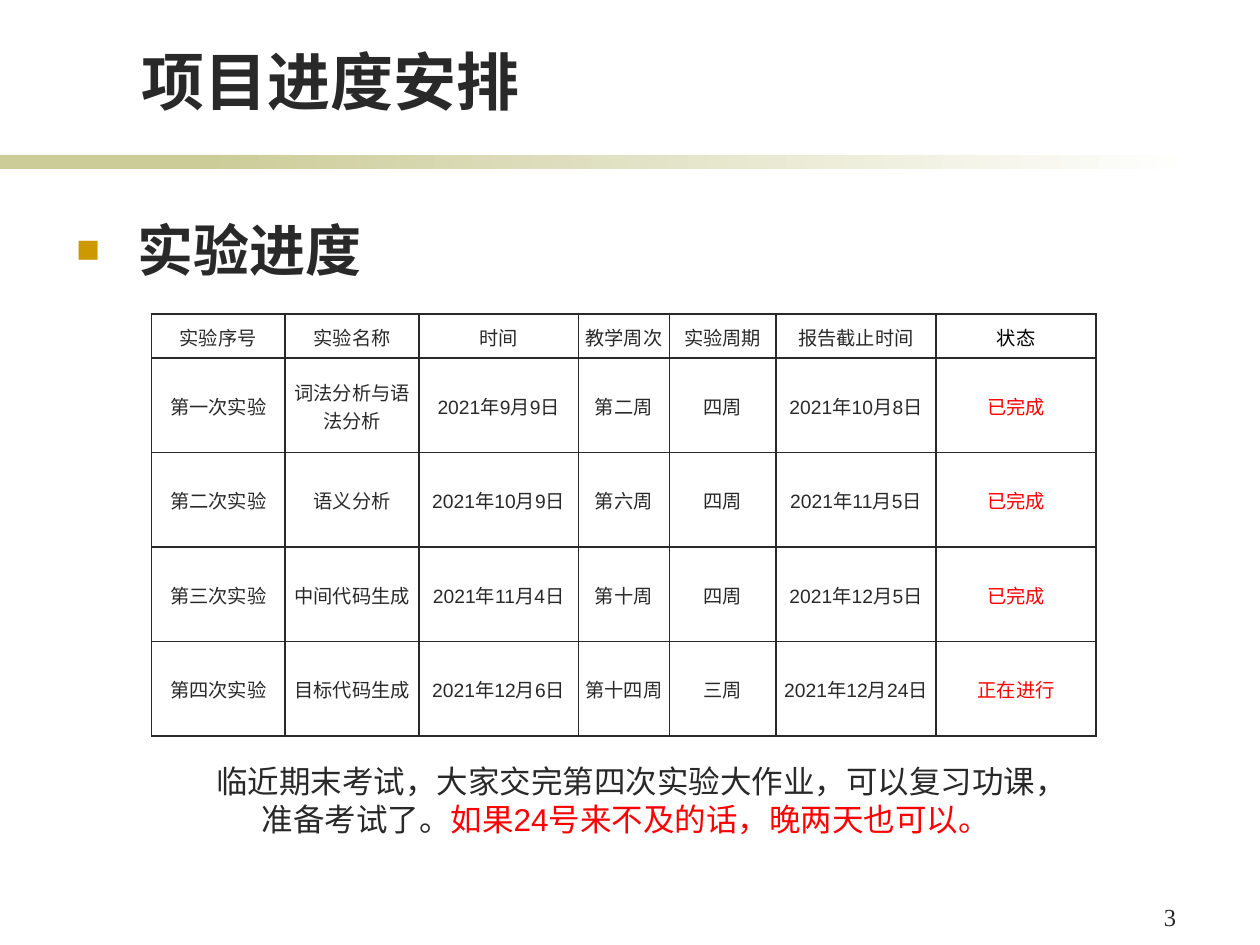
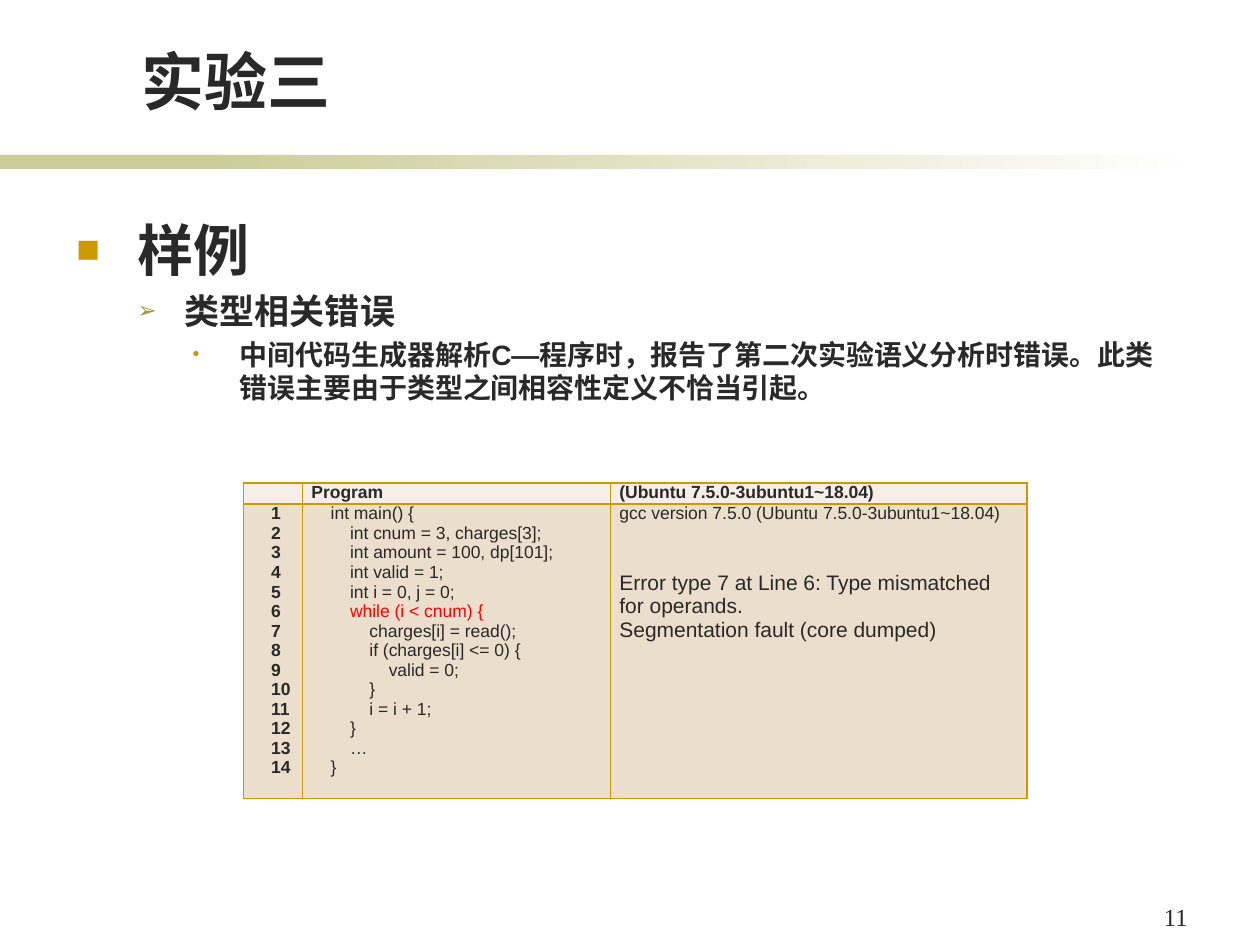
"""Build the lab schedule slide and the lab three sample slide."""
from dataclasses import dataclass

from lxml import etree
from pptx import Presentation
from pptx.dml.color import RGBColor as Color
from pptx.enum.shapes import MSO_SHAPE as Shape
from pptx.enum.text import MSO_ANCHOR as Anchor, PP_ALIGN as Align
from pptx.oxml import parse_xml
from pptx.oxml.ns import qn
from pptx.util import Pt


@dataclass(frozen=True)
class Theme:
    ink: str = "292929"
    black: str = "000000"
    red: str = "FF0000"
    white: str = "FFFFFF"
    band: str = "CCCC99"
    gold: str = "CC9900"
    olive: str = "999933"
    head_fill: str = "F6EFE7"
    body_fill: str = "ECDECC"
    latin: str = "Arial"
    cjk: str = "Noto Sans CJK SC"
    serif: str = "Times New Roman"
    title: int = 36
    levels: tuple = (32, 20, 16)
    note: int = 18
    number: int = 14
    output: int = 12
    schedule: int = 11
    code: int = 10


theme = Theme()
DRAWING = "http://schemas.openxmlformats.org/drawingml/2006/main"


def style(para, size, color=theme.ink, bold=False, font=theme.latin, align=None, leading=None):
    para.alignment = align
    if leading:
        para.line_spacing = Pt(leading)
    for span in para.runs:
        span.font.size = Pt(size)
        span.font.bold = bold
        span.font.name = font
        span.font.color.rgb = Color.from_string(color)
        etree.SubElement(span.font._element, qn("a:ea"), typeface=theme.cjk)


def add_grid(page, left, top, widths, heights, line, insets):
    frame = page.shapes.add_table(len(heights), len(widths), Pt(left), Pt(top),
                                  Pt(sum(widths)), Pt(sum(heights)))
    grid = frame.table
    grid.first_row = grid.horz_banding = False
    for column, width in zip(grid.columns, widths):
        column.width = Pt(width)
    for row, height in zip(grid.rows, heights):
        row.height = Pt(height)
    for cell in grid.iter_cells():
        cell.margin_left, cell.margin_top, cell.margin_right, cell.margin_bottom = map(Pt, insets)
        cell.fill.background()
        for index, side in enumerate(("lnL", "lnR", "lnT", "lnB")):
            cell._tc.tcPr.insert(index, parse_xml(
                f'<a:{side} xmlns:a="{DRAWING}" w="{Pt(1)}"><a:solidFill>'
                f'<a:srgbClr val="{line}"/></a:solidFill></a:{side}>'))
    return grid


deck = Presentation()
deck.slide_width, deck.slide_height = Pt(720), Pt(540)

pages = []
for title, number, bullets in (
    ("项目进度安排", "3", ["实验进度"]),
    ("实验三", "11", ["样例", "类型相关错误",
                   "中间代码生成器解析C—程序时，报告了第二次实验语义分析时错误。"
                   "此类错误主要由于类型之间相容性定义不恰当引起。"]),
):
    page = deck.slides.add_slide(deck.slide_layouts[6])
    pages.append(page)

    for left, width in ((0, 168), (114, 570)):
        band = page.shapes.add_shape(Shape.RECTANGLE, Pt(left), Pt(88.5), Pt(width), Pt(8))
        band.shadow.inherit = False
        band.line.fill.background()
        if left:
            band.fill.gradient()
            band.fill.gradient_angle = 0
            for stop, color in zip(band.fill.gradient_stops, (theme.band, theme.white)):
                stop.color.rgb = Color.from_string(color)
        else:
            band.fill.solid()
            band.fill.fore_color.rgb = Color.from_string(theme.band)

    number_box = page.shapes.add_textbox(Pt(658), Pt(512), Pt(34), Pt(24))
    number_box.text_frame.text = number
    style(number_box.text_frame.paragraphs[0], theme.number, font=theme.serif)

    title_box = page.shapes.add_textbox(Pt(73.5), Pt(20.5), Pt(528), Pt(50.5))
    title_box.text_frame.word_wrap = True
    title_box.text_frame.vertical_anchor = Anchor.BOTTOM
    title_box.text_frame.text = title
    style(title_box.text_frame.paragraphs[0], theme.title, bold=True, leading=43)

    body_box = page.shapes.add_textbox(Pt(36.5), Pt(119.5), Pt(641), Pt(346))
    body = body_box.text_frame
    body.word_wrap = True
    body.text = "\n".join(bullets)
    markers = (("■", theme.gold, 70, 35, 35), ("➢", theme.olive, 65, 62, 27),
               ("•", theme.gold, 70, 93.5, 27))
    for level, (para, size, marker) in enumerate(zip(body.paragraphs, theme.levels, markers)):
        sign, color, percent, margin, hanging = marker
        para.level = level
        if level:
            para.space_before = Pt(size / 5)
        style(para, size, bold=True, leading=round(size * 1.2, 1))
        props = para._p.get_or_add_pPr()
        props.set("marL", str(Pt(margin)))
        props.set("indent", str(-Pt(hanging)))
        tint = etree.SubElement(props, qn("a:buClr"))
        etree.SubElement(tint, qn("a:srgbClr"), val=color)
        etree.SubElement(props, qn("a:buSzPct"), val=str(percent * 1000))
        etree.SubElement(props, qn("a:buFont"), typeface=theme.latin)
        etree.SubElement(props, qn("a:buChar"), char=sign)

schedule_page, sample_page = pages

schedule = (
    ("实验序号", "实验名称", "时间", "教学周次", "实验周期", "报告截止时间", "状态"),
    ("第一次实验", "词法分析与语法分析", "2021年9月9日", "第二周", "四周", "2021年10月8日", "已完成"),
    ("第二次实验", "语义分析", "2021年10月9日", "第六周", "四周", "2021年11月5日", "已完成"),
    ("第三次实验", "中间代码生成", "2021年11月4日", "第十周", "四周", "2021年12月5日", "已完成"),
    ("第四次实验", "目标代码生成", "2021年12月6日", "第十四周", "三周", "2021年12月24日", "正在进行"),
)
schedule_grid = add_grid(schedule_page, 86.5, 179.5, (76.5, 76.5, 91, 52, 61, 91.5, 91.5),
                         (25, 54, 54, 54, 54), theme.ink, (0.75, 0.75, 0.75, 0))
for row, values in enumerate(schedule):
    for column, value in enumerate(values):
        cell = schedule_grid.cell(row, column)
        cell.vertical_anchor = Anchor.MIDDLE
        cell.text_frame.text = value
        color, font = theme.ink, theme.latin
        if column == len(values) - 1:
            color, font = (theme.red if row else theme.black), theme.cjk
        style(cell.text_frame.paragraphs[0], theme.schedule, color, font=font, align=Align.CENTER)

note_box = schedule_page.shapes.add_textbox(Pt(111), Pt(432), Pt(493), Pt(51))
note_box.text_frame.word_wrap = True
note = note_box.text_frame.paragraphs[0]
note.text = "临近期末考试，大家交完第四次实验大作业，可以复习功课，准备考试了。"
warning = note.add_run()
warning.text = "如果24号来不及的话，晚两天也可以。"
style(note, theme.note, align=Align.CENTER, leading=21.6)
warning.font.color.rgb = Color.from_string(theme.red)

program = """int main() {
    int cnum = 3, charges[3];
    int amount = 100, dp[101];
    int valid = 1;
    int i = 0, j = 0;
    while (i < cnum) {
        charges[i] = read();
        if (charges[i] <= 0) {
            valid = 0;
        }
        i = i + 1;
    }
    …
}"""
line_numbers = "\n".join(str(line) for line in range(1, program.count("\n") + 2))
output = """gcc version 7.5.0 (Ubuntu 7.5.0-3ubuntu1~18.04)
Error type 7 at Line 6: Type mismatched for operands.
Segmentation fault (core dumped)"""
sample = (("", "Program", "(Ubuntu 7.5.0-3ubuntu1~18.04)"), (line_numbers, program, output))
sample_grid = add_grid(sample_page, 139, 276, (34, 176, 238), (12, 167), theme.gold, (5, 0, 5, 0))
for row, texts in enumerate(sample):
    for column, text in enumerate(texts):
        cell = sample_grid.cell(row, column)
        cell.fill.solid()
        cell.fill.fore_color.rgb = Color.from_string(theme.body_fill if row else theme.head_fill)
        cell.text_frame.text = text
        for index, para in enumerate(cell.text_frame.paragraphs):
            is_error = row == 1 and column == 2 and index > 0
            style(para, theme.output if is_error else theme.code,
                  theme.red if "while" in para.text else theme.ink,
                  bold=row == 0 or column == 0, align=Align.LEFT if is_error else Align.JUSTIFY)
            if row and column < 2:
                para._p.get_or_add_pPr().set("indent", str(Pt(11)))
            if is_error and index == 1:
                para.space_before = Pt(27)
            if not text:
                etree.SubElement(para._p, qn("a:endParaRPr"), sz=str(theme.code * 100))

deck.save("out.pptx")
